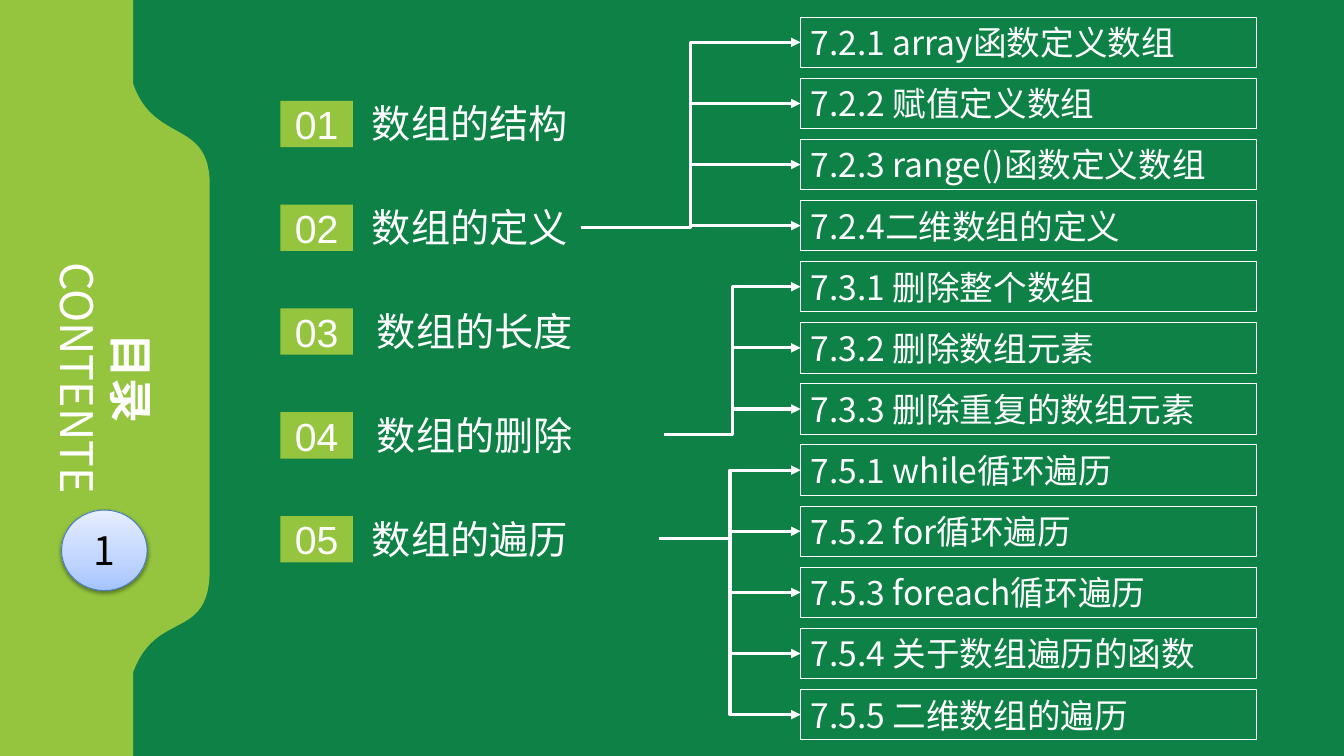
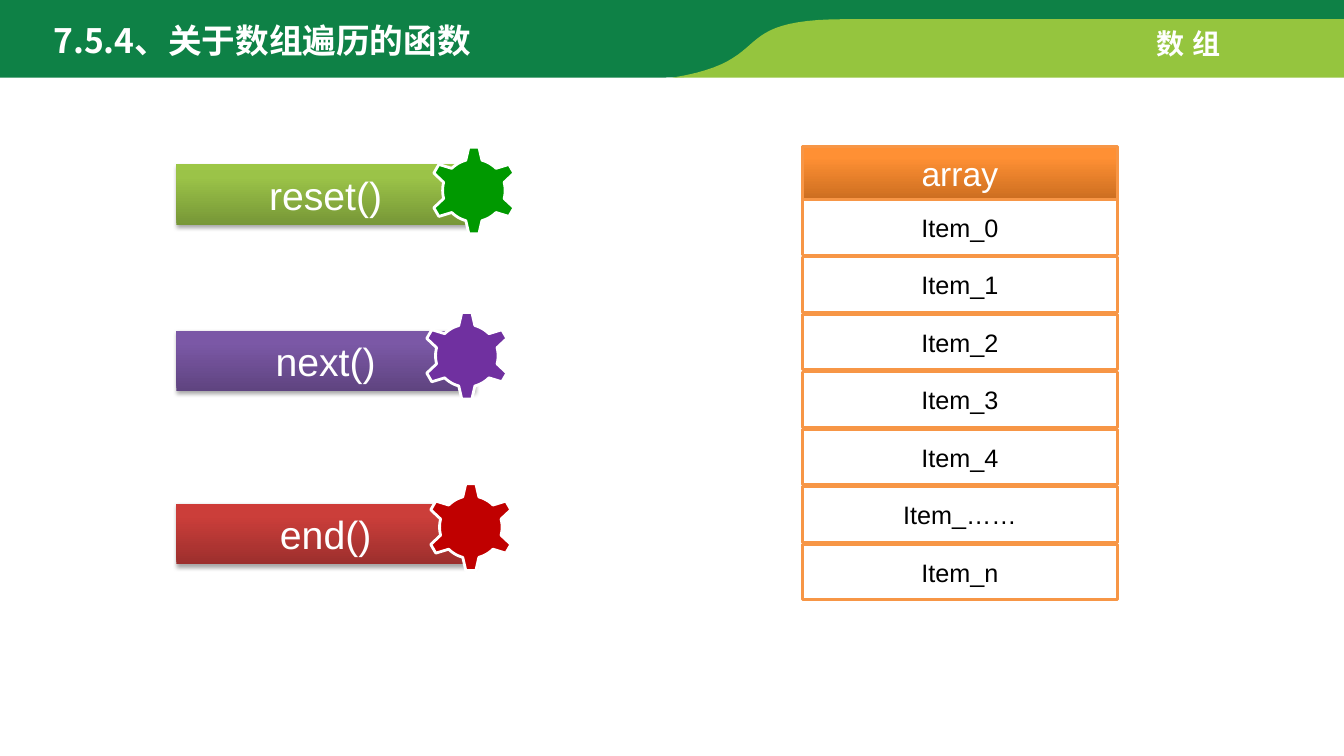
"""Build a contents slide and an array function slide."""
from dataclasses import dataclass
from math import cos, radians, sin

from lxml import etree
from pptx import Presentation
from pptx.dml.color import RGBColor
from pptx.enum.shapes import MSO_CONNECTOR, MSO_SHAPE
from pptx.enum.text import MSO_ANCHOR, PP_ALIGN
from pptx.oxml.ns import qn
from pptx.util import Inches, Pt

RECTANGLE, OVAL = MSO_SHAPE.RECTANGLE, MSO_SHAPE.OVAL
ELBOW = MSO_CONNECTOR.ELBOW
LEFT, CENTER = PP_ALIGN.LEFT, PP_ALIGN.CENTER
TOP, MIDDLE = MSO_ANCHOR.TOP, MSO_ANCHOR.MIDDLE
LEFT_SITE, RIGHT_SITE = 1, 3


@dataclass(frozen=True)
class Theme:
    green: str = "0E8146"
    lime: str = "95C53E"
    white: str = "FFFFFF"
    black: str = "000000"
    orange: str = "F79646"
    badge_line: str = "4B7EBC"
    badge_stops: tuple = ((0, "A4C4FF"), (35, "BFD4FF"), (100, "E6EEFF"))
    orange_stops: tuple = ((0, "CC6E20"), (80, "FF9034"), (100, "FF9136"))
    lime_stops: tuple = ((0, "779737"), (80, "9BC348"), (100, "9DC746"))
    purple_stops: tuple = ((0, "5F4480"), (80, "7B58A6"), (100, "7C57A8"))
    red_stops: tuple = ((0, "9C2F2D"), (80, "CB3E3A"), (100, "CE3B37"))
    gear_green: str = "009900"
    gear_purple: str = "7030A0"
    gear_red: str = "C00000"
    latin: str = "Arial"
    chinese: str = "Noto Sans CJK SC"
    huge: int = 32
    large: int = 28
    medium: int = 24
    chapter: int = 20
    small: int = 18


THEME = Theme()


def curve_points(start, control_1, control_2, end, steps=24):
    points = []
    for step in range(1, steps + 1):
        t = step / steps
        u = 1 - t
        weights = (u ** 3, 3 * u * u * t, 3 * u * t * t, t ** 3)
        points.append(tuple(
            sum(weight * value for weight, value in zip(weights, axis))
            for axis in zip(start, control_1, control_2, end)
        ))
    return points


class Deck:
    def __init__(self, theme):
        self.theme = theme
        self.presentation = Presentation()
        self.presentation.slide_width = Inches(13.33)
        self.presentation.slide_height = Inches(7.5)
        self.slide = None

    def new_slide(self, background):
        layout = self.presentation.slide_layouts[6]
        self.slide = self.presentation.slides.add_slide(layout)
        fill = self.slide.background.fill
        fill.solid()
        fill.fore_color.rgb = RGBColor.from_string(background)

    def paint(self, shape, fill=None, line=None, line_width=0.75, shadow=None):
        shape.shadow.inherit = False
        if fill is None:
            shape.fill.background()
        elif isinstance(fill, str):
            shape.fill.solid()
            shape.fill.fore_color.rgb = RGBColor.from_string(fill)
        else:
            self.gradient(shape, fill)
        if line:
            shape.line.color.rgb = RGBColor.from_string(line)
            shape.line.width = Pt(line_width)
        else:
            shape.line.fill.background()
        if shadow:
            self.cast_shadow(shape, shadow)

    def gradient(self, shape, stops):
        shape.fill.gradient()
        shape.fill.gradient_angle = 90
        stop_list = shape._element.spPr.find(".//" + qn("a:gsLst"))
        for old_stop in list(stop_list):
            stop_list.remove(old_stop)
        for position, color in stops:
            stop = etree.SubElement(stop_list, qn("a:gs"), pos=str(position * 1000))
            etree.SubElement(stop, qn("a:srgbClr"), val=color)

    def cast_shadow(self, shape, opacity):
        effects = shape._element.spPr.find(qn("a:effectLst"))
        shadow = etree.SubElement(
            effects, qn("a:outerShdw"), blurRad=str(Pt(3.1)),
            dist=str(Pt(1.7)), dir="5400000", rotWithShape="0",
        )
        color = etree.SubElement(shadow, qn("a:srgbClr"), val=self.theme.black)
        etree.SubElement(color, qn("a:alpha"), val=str(opacity * 1000))

    def set_text(self, shape, lines, size, color, font=None, bold=False,
                 align=LEFT, anchor=TOP, wrap=True, spacing=0):
        frame = shape.text_frame
        frame.word_wrap = wrap
        frame.vertical_anchor = anchor
        for index, line in enumerate(lines):
            paragraph = frame.add_paragraph() if index else frame.paragraphs[0]
            paragraph.alignment = align
            run = paragraph.add_run()
            run.text = line
            run.font.size = Pt(size)
            run.font.bold = bold and index == 0
            run.font.color.rgb = RGBColor.from_string(color)
            run.font.name = font or self.theme.latin
            properties = run._r.get_or_add_rPr()
            etree.SubElement(properties, qn("a:ea"), typeface=self.theme.chinese)
            if spacing:
                properties.set("spc", str(spacing * 100))

    def text(self, box, lines, size, rotation=0, **style):
        shape = self.slide.shapes.add_textbox(*map(Inches, box))
        shape.rotation = rotation
        self.set_text(shape, lines, size, self.theme.white, **style)
        return shape

    def block(self, kind, box, label, size, color, font=None, align=CENTER, **look):
        shape = self.slide.shapes.add_shape(kind, *map(Inches, box))
        self.paint(shape, **look)
        self.set_text(shape, [label], size, color, font, align=align, anchor=MIDDLE)
        return shape

    def outline(self, start, segments, **look):
        points = [start]
        for segment in segments:
            if len(segment) == 2:
                points.append(segment)
            else:
                points += curve_points(
                    points[-1], segment[:2], segment[2:4], segment[4:])
        points = [(Inches(x), Inches(y)) for x, y in points]
        builder = self.slide.shapes.build_freeform(*points[0], scale=1.0)
        builder.add_line_segments(points[1:], close=True)
        self.paint(builder.convert_to_shape(), **look)

    def gear(self, center_x, center_y, color):
        tooth = ((-0.08, -0.3), (-0.05, -0.43), (0.05, -0.43), (0.08, -0.3))
        rim = tuple((0.31 * sin(radians(a)), -0.31 * cos(radians(a)))
                    for a in range(20, 45, 5))
        points = []
        for turn in range(0, 360, 60):
            c, s = cos(radians(turn)), sin(radians(turn))
            points += [(center_x + x * c - y * s, center_y + x * s + y * c)
                       for x, y in tooth + rim]
        self.outline(points[0], points[1:], fill=color,
                     line=self.theme.white, line_width=2)

    def arrow(self, source, target):
        connector = self.slide.shapes.add_connector(ELBOW, 0, 0, 0, 0)
        connector.begin_connect(source, RIGHT_SITE)
        connector.end_connect(target, LEFT_SITE)
        connector.line.color.rgb = RGBColor.from_string(self.theme.white)
        connector.line.width = Pt(2.25)
        properties = connector._element.spPr
        line = properties.find(qn("a:ln"))
        etree.SubElement(line, qn("a:tailEnd"), type="triangle")
        etree.SubElement(properties, qn("a:effectLst"))


def contents_slide(deck):
    theme = deck.theme
    deck.new_slide(theme.green)
    deck.outline((0, 0), [
        (1.32, 0), (1.32, 0.83), (1.53, 1.44, 2.09, 1.17, 2.08, 1.85),
        (2.08, 5.65), (2.08, 6.37, 1.55, 6.04, 1.32, 6.67),
        (1.32, 7.5), (0, 7.5),
    ], fill=theme.lime)
    deck.text((-0.39, 3.16, 2.86, 1.18), ["目录", "CONTENTE"], theme.huge,
              rotation=90, font=theme.chinese, bold=True, align=CENTER)
    deck.block(OVAL, (0.61, 5.06, 0.85, 0.8), "1", theme.large, theme.black,
               theme.chinese, fill=theme.badge_stops, line=theme.badge_line,
               shadow=38)
    chapters = (
        ("数组的结构", 3.59, 2.95, ()),
        ("数组的定义", 3.59, 2.17, (
            "7.2.1 array函数定义数组", "7.2.2 赋值定义数组",
            "7.2.3 range()函数定义数组", "7.2.4二维数组的定义")),
        ("数组的长度", 3.64, 2.95, ()),
        ("数组的删除", 3.64, 2.95, (
            "7.3.1 删除整个数组", "7.3.2 删除数组元素",
            "7.3.3 删除重复的数组元素")),
        ("数组的遍历", 3.59, 2.95, (
            "7.5.1 while循环遍历", "7.5.2 for循环遍历",
            "7.5.3 foreach循环遍历", "7.5.4 关于数组遍历的函数",
            "7.5.5 二维数组的遍历")),
    )
    section_step = (6.84 - 0.17) / 11
    section_top = 0.17
    for index, (name, left, width, sections) in enumerate(chapters):
        offset = 1.03 * index
        deck.block(RECTANGLE, (2.78, 1 + offset, 0.72, 0.46), f"{index + 1:02}",
                   theme.large, theme.white, fill=theme.lime)
        chapter = deck.text((left, 0.94 + offset, width, 0.57), [name],
                            theme.large, wrap=width > 2.5)
        for section in sections:
            target = deck.block(
                RECTANGLE, (7.94, section_top, 4.52, 0.5), section, theme.medium,
                theme.white, theme.chinese, align=LEFT, line=theme.white)
            deck.arrow(chapter, target)
            section_top += section_step


def functions_slide(deck):
    theme = deck.theme
    deck.new_slide(theme.white)
    deck.outline((0, 0), [
        (13.33, 0), (13.33, 0.24), (8.27, 0.24), (8.09, 0.28),
        (7.27, 0.44, 7.7, 0.77, 6.55, 0.77), (0, 0.77),
    ], fill=theme.green)
    deck.outline((8.39, 0.19), [
        (13.33, 0.19), (13.33, 0.77), (6.67, 0.77),
        (7.73, 0.6, 7.17, 0.19, 8.39, 0.19),
    ], fill=theme.lime)
    deck.text((11.37, 0.21, 0.93, 0.44), ["数组"], theme.chapter,
              bold=True, wrap=False, spacing=6)
    deck.text((0.43, 0.15, 4.72, 0.5), ["7.5.4、关于数组遍历的函数"],
              theme.medium, font=theme.chinese, bold=True)

    deck.block(RECTANGLE, (7.96, 1.45, 3.12, 0.53), "array", theme.medium,
               theme.white, fill=theme.orange_stops, line=theme.orange,
               line_width=2.25)
    for index, suffix in enumerate(("0", "1", "2", "3", "4", "……", "n")):
        deck.block(RECTANGLE, (7.96, 1.98 + 0.57 * index, 3.12, 0.55),
                   f"Item_{suffix}", theme.small, theme.black,
                   fill=theme.white, line=theme.orange, line_width=2)

    functions = (
        ("reset()", 1.63, theme.lime_stops, (4.7, 1.89), theme.gear_green),
        ("next()", 3.28, theme.purple_stops, (4.63, 3.53), theme.gear_purple),
        ("end()", 5, theme.red_stops, (4.67, 5.23), theme.gear_red),
    )
    for name, top, stops, center, gear_color in functions:
        deck.block(RECTANGLE, (1.75, top, 2.96, 0.6), name, theme.large,
                   theme.white, fill=stops, shadow=35)
        deck.gear(*center, gear_color)


def main():
    deck = Deck(THEME)
    contents_slide(deck)
    functions_slide(deck)
    deck.presentation.save("out.pptx")


if __name__ == "__main__":
    main()
